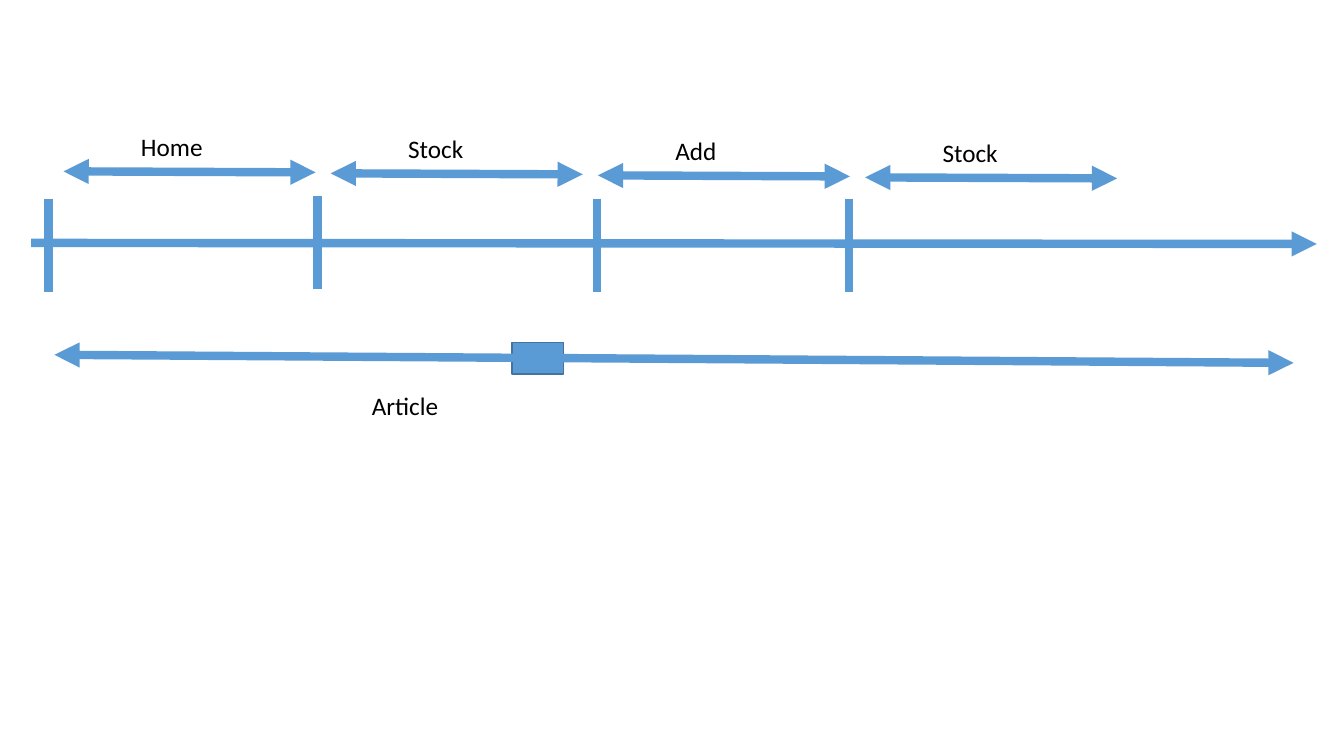
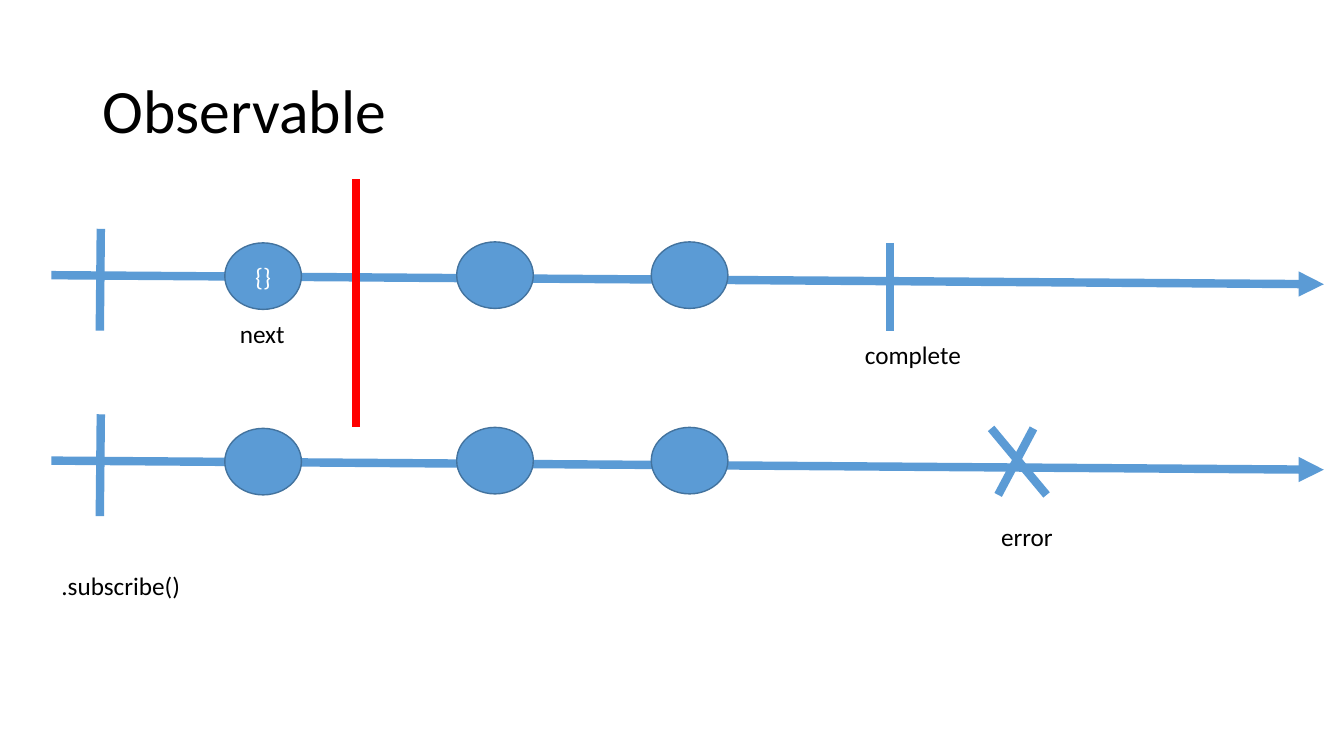
from dataclasses import dataclass

from lxml import etree
from pptx import Presentation
from pptx import util as u
from pptx.dml.color import RGBColor
from pptx.enum import shapes, text
from pptx.oxml.ns import qn


@dataclass(frozen=True)
class Theme:
    """Colours, font and sizes shared by the slides."""
    blue = RGBColor(0x5B, 0x9B, 0xD5)
    outline = RGBColor(0x43, 0x73, 0x9E)
    red = RGBColor(0xFF, 0x00, 0x00)
    black = RGBColor(0x00, 0x00, 0x00)
    white = RGBColor(0xFF, 0xFF, 0xFF)
    font = "Calibri"
    title = u.Pt(44)
    body = u.Pt(18)
    stroke = u.Pt(6)
    border = u.Pt(1)


def add_line(s, x1, y1, x2, y2, color=Theme.blue, ends=()):
    """Draw a thick line with a triangle at each of the named ends."""
    line = s.shapes.add_connector(
        shapes.MSO_CONNECTOR.STRAIGHT, *map(u.Inches, (x1, y1, x2, y2)))
    line.line.color.rgb = color
    line.line.width = Theme.stroke
    for end in ends:
        etree.SubElement(line.line._ln, qn(f"a:{end}"), type="triangle")
    etree.SubElement(line._element.spPr, qn("a:effectLst"))


def add_box(s, x, y, w, h, words="", kind=None, size=Theme.body):
    """Add a text box, or a filled shape when a kind is given."""
    at = [u.Inches(v) for v in (x, y, w, h)]
    if kind is None:
        sp = s.shapes.add_textbox(*at)
    else:
        sp = s.shapes.add_shape(kind, *at)
        sp.shadow.inherit = False
        sp.fill.solid()
        sp.fill.fore_color.rgb = Theme.blue
        sp.line.color.rgb = Theme.outline
        sp.line.width = Theme.border
    tf = sp.text_frame
    tf.word_wrap = kind is not None
    if words:
        p = tf.paragraphs[0]
        p.text = words
        p.font.name = Theme.font
        p.font.size = size
        p.font.color.rgb = Theme.white if kind else Theme.black
    return sp


prs = Presentation()
prs.slide_width, prs.slide_height = u.Inches(13.33), u.Inches(7.5)
blank = prs.slide_layouts[6]
both_ends = ("headEnd", "tailEnd")

# Page timeline
s = prs.slides.add_slide(blank)
add_line(s, 0.31, 2.41, 13.06, 2.42, ends=["tailEnd"])
for x, y in [(0.48, 1.97), (3.15, 1.94), (5.92, 1.97), (8.42, 1.97)]:
    add_line(s, x, y, x, y + 0.93)
pages = [("Home", 0.82), ("Stock", 0.75), ("Add", 0.61), ("Stock", 0.75)]
for i, (page, width) in enumerate(pages):
    x, y = 0.63 + 2.65 * i, 1.7 + 0.02 * i
    add_line(s, x, y, x + 2.5, y + 0.01, ends=both_ends)
    add_box(s, x + 0.67, y - 0.45, width, 0.4, page)
add_box(s, 5.08, 3.4, 0.51, 0.31, kind=shapes.MSO_SHAPE.RECTANGLE)
add_line(s, 0.54, 3.52, 12.83, 3.6, ends=both_ends)
add_box(s, 3.59, 3.82, 0.87, 0.4, "Article")

# Observable streams
s = prs.slides.add_slide(blank)
title = add_box(s, 0.92, 0.4, 11.5, 1.45, "Observable", size=Theme.title)
title.text_frame.word_wrap = True
title.text_frame.vertical_anchor = text.MSO_ANCHOR.MIDDLE
title.text_frame.paragraphs[0].line_spacing = 0.9

for y, first_value in [(2.73, "{}"), (4.57, "")]:
    add_line(s, 0.51, y, 13.13, y + 0.09, ends=["tailEnd"])
    add_line(s, 1, y - 0.46, 0.99, y + 0.55)
    for x, rise, value in [(2.23, 0.32, first_value), (4.53, 0.33, ""), (6.46, 0.33, "")]:
        event = add_box(s, x, y - rise, 0.76, 0.66, value, shapes.MSO_SHAPE.OVAL)
        event.text_frame.paragraphs[0].alignment = text.PP_ALIGN.CENTER

add_line(s, 8.83, 2.41, 8.83, 3.28)
add_line(s, 9.83, 4.25, 10.38, 4.91)
add_line(s, 10.25, 4.25, 9.9, 4.91)
add_line(s, 3.53, 1.78, 3.53, 4.24, Theme.red)
for words, x, y, width in [(".subscribe()", 0.51, 5.61, 1.39), ("next", 2.28, 3.11, 0.65),
                           ("complete", 8.48, 3.32, 1.17), ("error", 9.83, 5.12, 0.72)]:
    add_box(s, x, y, width, 0.4, words)

prs.save("out.pptx")
